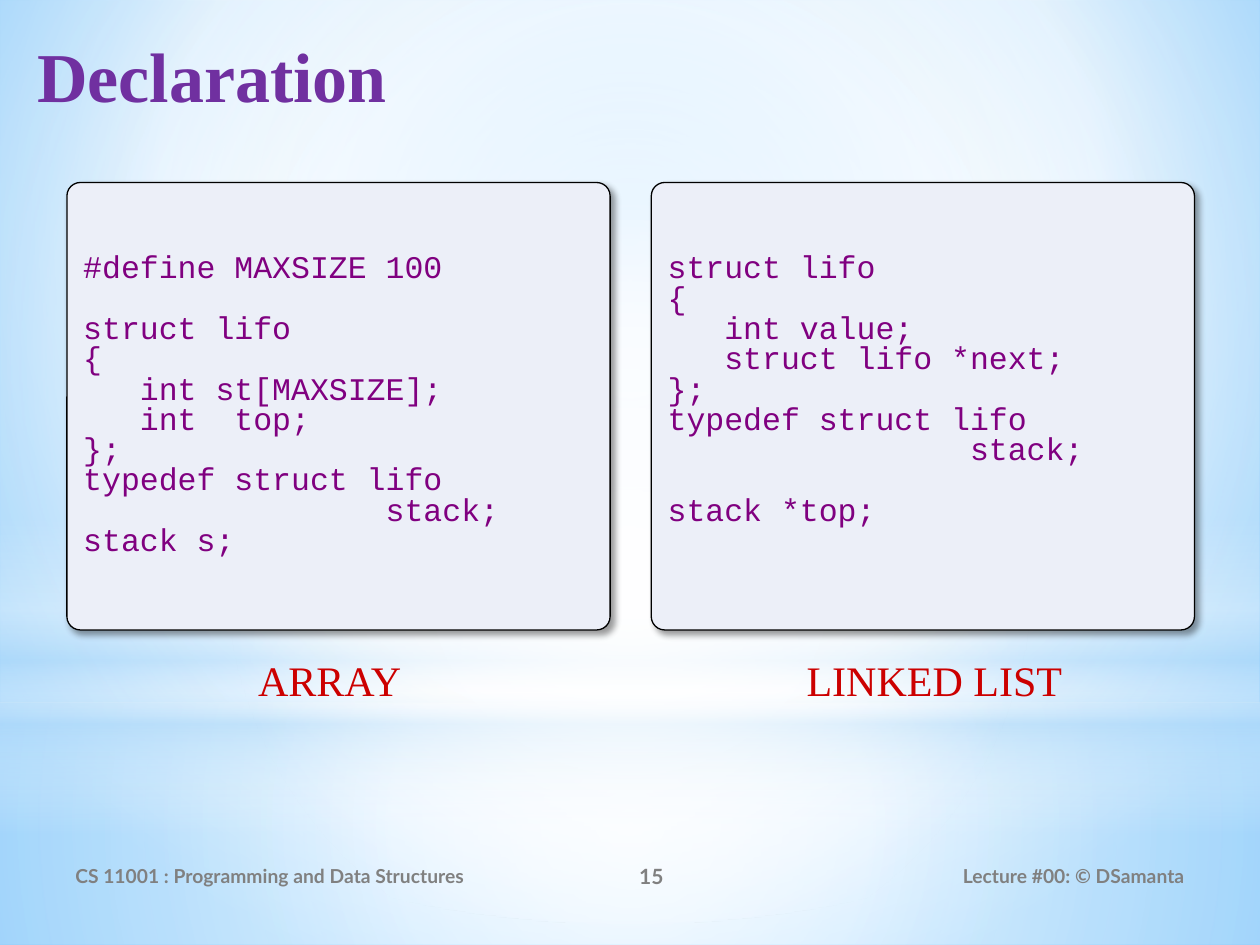
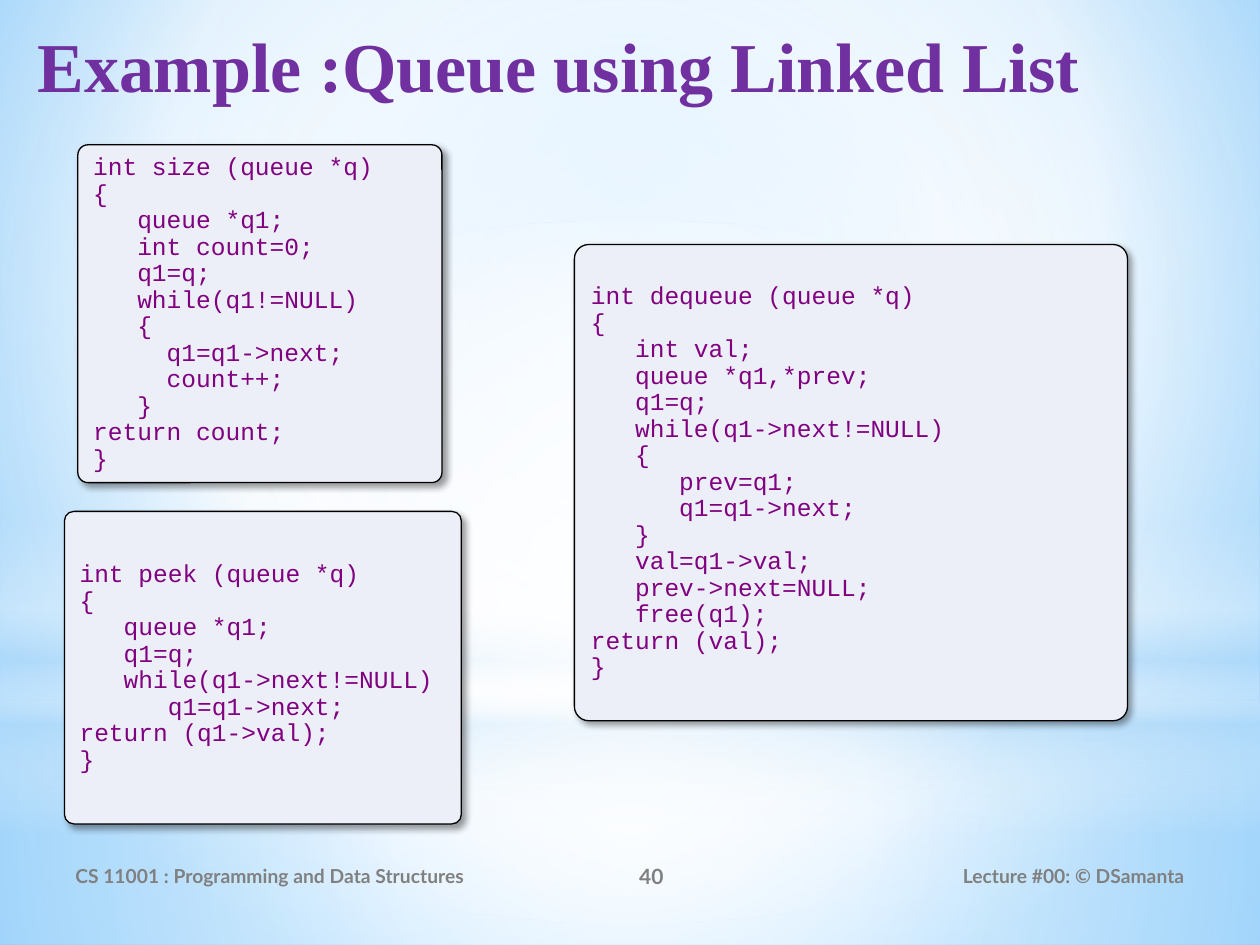
from pptx import Presentation
from pptx.dml.color import RGBColor
from pptx.enum.shapes import MSO_SHAPE
from pptx.enum.text import MSO_ANCHOR, MSO_AUTO_SIZE, PP_ALIGN
from pptx.oxml import parse_xml
from pptx.oxml.ns import nsdecls, qn
from pptx.util import Cm, Pt

# Shared style
WHITE, SKY = "FFFFFF", "B4DCFA"
PURPLE, CODE, RED, GREY = "7030A0", "800080", "CC0000", "808080"
PANEL, BLACK = "ECEFF8", "000000"
SERIF, MONO, SANS = "Times New Roman", "Courier New", "Lato"
LEFT, MID, RIGHT = PP_ALIGN.LEFT, PP_ALIGN.CENTER, PP_ALIGN.RIGHT
CENTRE = (50, 50, 50, 50)
LEADING = 1.2


def paint(text):
    return RGBColor.from_string(text)


def place(shape, box):
    shape.left, shape.top, shape.width, shape.height = map(Cm, box)


def blend(fill, parent, stops, focus=None):
    """Fill with (position, colour, opacity) stops, round a focus or downward."""
    fill.solid()
    marks = "".join(
        f'<a:gs pos="{pos * 1000}"><a:srgbClr val="{tint}">'
        f'<a:alpha val="{alpha * 1000}"/></a:srgbClr></a:gs>'
        for pos, tint, alpha in stops)
    if focus:
        sides = " ".join(f'{side}="{part * 1000}"' for side, part in zip("ltrb", focus))
        way = f'<a:path path="circle"><a:fillToRect {sides}/></a:path>'
    else:
        way = '<a:lin ang="5400000" scaled="0"/>'
    grad = parse_xml(f'<a:gradFill {nsdecls("a")} rotWithShape="1">'
                     f'<a:gsLst>{marks}</a:gsLst>{way}</a:gradFill>')
    parent.replace(parent.find(qn("a:solidFill")), grad)


class Deck:
    def __init__(self):
        self.prs = Presentation()
        self.prs.slide_width, self.prs.slide_height = Cm(25.4), Cm(19.05)
        self.slide = None

    def start(self, title, top, number):
        self.slide = self.prs.slides.add_slide(self.prs.slide_layouts[5])
        head = self.slide.shapes.title
        place(head, (0.5, top, 24.2, 3.18))
        frame = head.text_frame
        frame.text = title
        frame.auto_size = MSO_AUTO_SIZE.NONE
        frame.vertical_anchor = MSO_ANCHOR.TOP
        self.style(frame.paragraphs[0], 40, SERIF, PURPLE, LEFT, True)
        self.foot(number)

    def style(self, para, size, face, tint, align=LEFT, bold=False):
        para.alignment = align
        for run in para.runs:
            font = run.font
            font.size, font.name, font.bold = Pt(size), face, bold
            font.color.rgb = paint(tint)

    def label(self, text, box, size, face, tint, align, bold=False,
              anchor=MSO_ANCHOR.TOP):
        shape = self.slide.shapes.add_textbox(*map(Cm, box))
        frame = shape.text_frame
        frame.text = text
        frame.word_wrap = True
        frame.vertical_anchor = anchor
        self.style(frame.paragraphs[0], size, face, tint, align, bold)

    def foot(self, number):
        parts = (("CS 11001 : Programming and Data Structures", 1.27, 9.32, 11, LEFT),
                 (number, 10.59, 5.08, 12, MID),
                 ("Lecture #00: © DSamanta", 17.15, 6.98, 11, RIGHT))
        for text, left, width, size, align in parts:
            self.label(text, (left, 17.15, width, 1.02), size, SANS, GREY,
                       align, True, MSO_ANCHOR.MIDDLE)

    def code(self, text, box, size, pitch, spare=0):
        """Draw a code panel; spare counts empty lines kept free at the bottom."""
        shape = self.slide.shapes.add_shape(MSO_SHAPE.ROUNDED_RECTANGLE, *map(Cm, box))
        shape.adjustments[0] = 0.03
        shape.fill.solid()
        shape.fill.fore_color.rgb = paint(PANEL)
        shape.line.color.rgb = paint(BLACK)
        shape.line.width = Pt(0.75)
        self.shade(shape)
        frame = shape.text_frame
        frame.word_wrap = True
        frame.vertical_anchor = MSO_ANCHOR.MIDDLE
        step = size * LEADING * pitch
        frame.margin_bottom = Cm(0.13) + Pt(spare * step)
        para, gap = None, 0
        for line in text.strip().split("\n"):
            if not line:
                gap += step
                continue
            para = frame.add_paragraph() if para else frame.paragraphs[0]
            para.text = line
            para.line_spacing = pitch
            para.space_before = Pt(round(gap, 1))
            self.style(para, size, MONO, CODE)
            gap = 0

    def shade(self, shape):
        shape.shadow.inherit = False
        shape._element.spPr.find(qn("a:effectLst")).append(parse_xml(
            f'<a:outerShdw {nsdecls("a")} blurRad="{Pt(4)}" dist="{Pt(3)}" '
            f'dir="2700000" algn="tl" rotWithShape="0"><a:srgbClr val="{BLACK}">'
            '<a:alpha val="40000"/></a:srgbClr></a:outerShdw>'))

    def scene(self):
        """Put the sky backdrop on the master, behind its placeholders."""
        base = self.prs.slide_master
        fill = base.background.fill
        fill.solid()
        blend(fill, next(base._element.iter(qn("p:bgPr"))),
              [(0, "9ED5FF", 100), (60, WHITE, 100), (100, "5BB9FF", 100)],
              (20, 10, 20, 60))
        rect, oval = MSO_SHAPE.RECTANGLE, MSO_SHAPE.OVAL
        glows = (
            (rect, 14.17, 4.88, CENTRE,
             [(0, WHITE, 91), (37, WHITE, 76), (100, SKY, 79)]),
            (rect, 0, 14.17, CENTRE,
             [(0, WHITE, 89), (48, WHITE, 62), (100, SKY, 79)]),
            (rect, 10.46, 6.35, None,
             [(0, WHITE, 0), (29, WHITE, 30), (45, SKY, 40),
              (55, WHITE, 26), (65, SKY, 60), (100, WHITE, 0)]),
            (oval, 4.45, 14.17, CENTRE, [(0, WHITE, 100), (56, WHITE, 0)]))
        for rank, (kind, top, height, focus, stops) in enumerate(glows):
            shape = self.slide.shapes.add_shape(kind, 0, Cm(top), Cm(25.4), Cm(height))
            shape.shadow.inherit = False
            shape.line.fill.background()
            node = shape._element
            blend(shape.fill, node.spPr, stops, focus)
            node.nvSpPr.cNvPr.set("id", str(20 + rank))
            base.shapes._spTree.insert(2 + rank, node)


ARRAY = """
#define MAXSIZE 100

struct lifo
{
   int st[MAXSIZE];
   int  top;
};
typedef struct lifo
                stack;
stack s;
"""

LINKED = """
struct lifo
{
   int value;
   struct lifo *next;
};
typedef struct lifo
                stack;

stack *top;
"""

SIZE = """
int size (queue *q)
{
   queue *q1;
   int count=0;
   q1=q;
   while(q1!=NULL)
   {
     q1=q1->next;
     count++;
   }
return count;
}
"""

PEEK = """
int peek (queue *q)
{
   queue *q1;
   q1=q;
   while(q1->next!=NULL)
      q1=q1->next;
return (q1->val);
}
"""

DEQUEUE = """
int dequeue (queue *q)
{
   int val;
   queue *q1,*prev;
   q1=q;
   while(q1->next!=NULL)
   {
      prev=q1;
      q1=q1->next;
   }
   val=q1->val;
   prev->next=NULL;
   free(q1);
return (val);
}
"""


def main():
    deck = Deck()

    # Stack declarations side by side
    deck.start("Declaration", 0.53, "15")
    deck.scene()
    for text, left, spare in ((ARRAY, 1.35, 0), (LINKED, 13.13, 1)):
        deck.code(text, (left, 3.68, 10.95, 9.02), 18, 0.8, spare)
    for name, left, width in (("ARRAY", 4.32, 4.65), ("LINKED LIST", 14.81, 8.05)):
        deck.label(name, (left, 13.06, width, 1.27), 24, SERIF, RED, MID)

    # Queue functions
    deck.start("Example :Queue using Linked List", 0.33, "40")
    for text, box in ((SIZE, (1.57, 2.92, 7.34, 6.81)),
                      (PEEK, (1.3, 10.31, 8, 6.3)),
                      (DEQUEUE, (11.58, 4.93, 11.15, 9.6))):
        deck.code(text, box, 14, 0.9)

    deck.prs.save("out.pptx")


if __name__ == "__main__":
    main()
